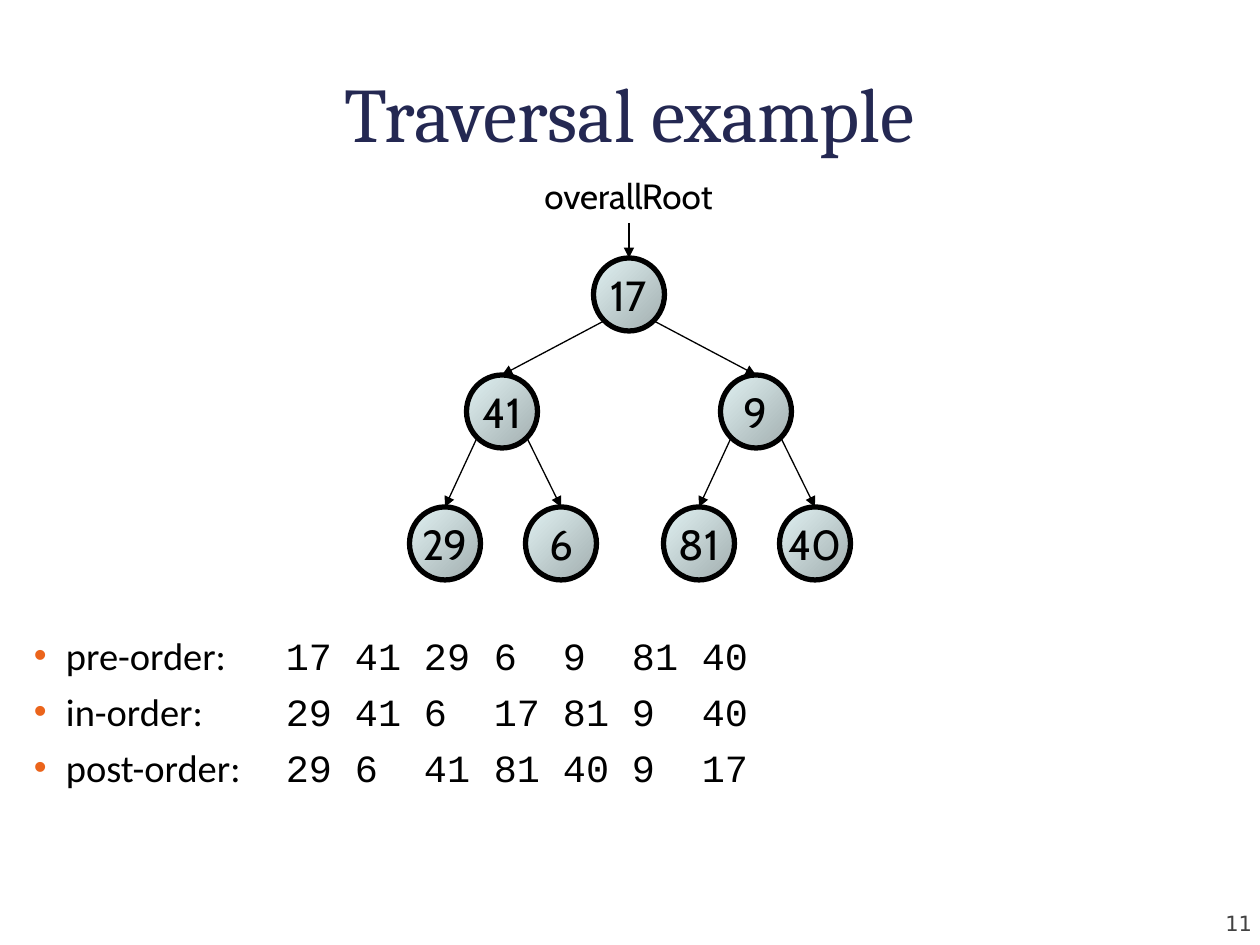
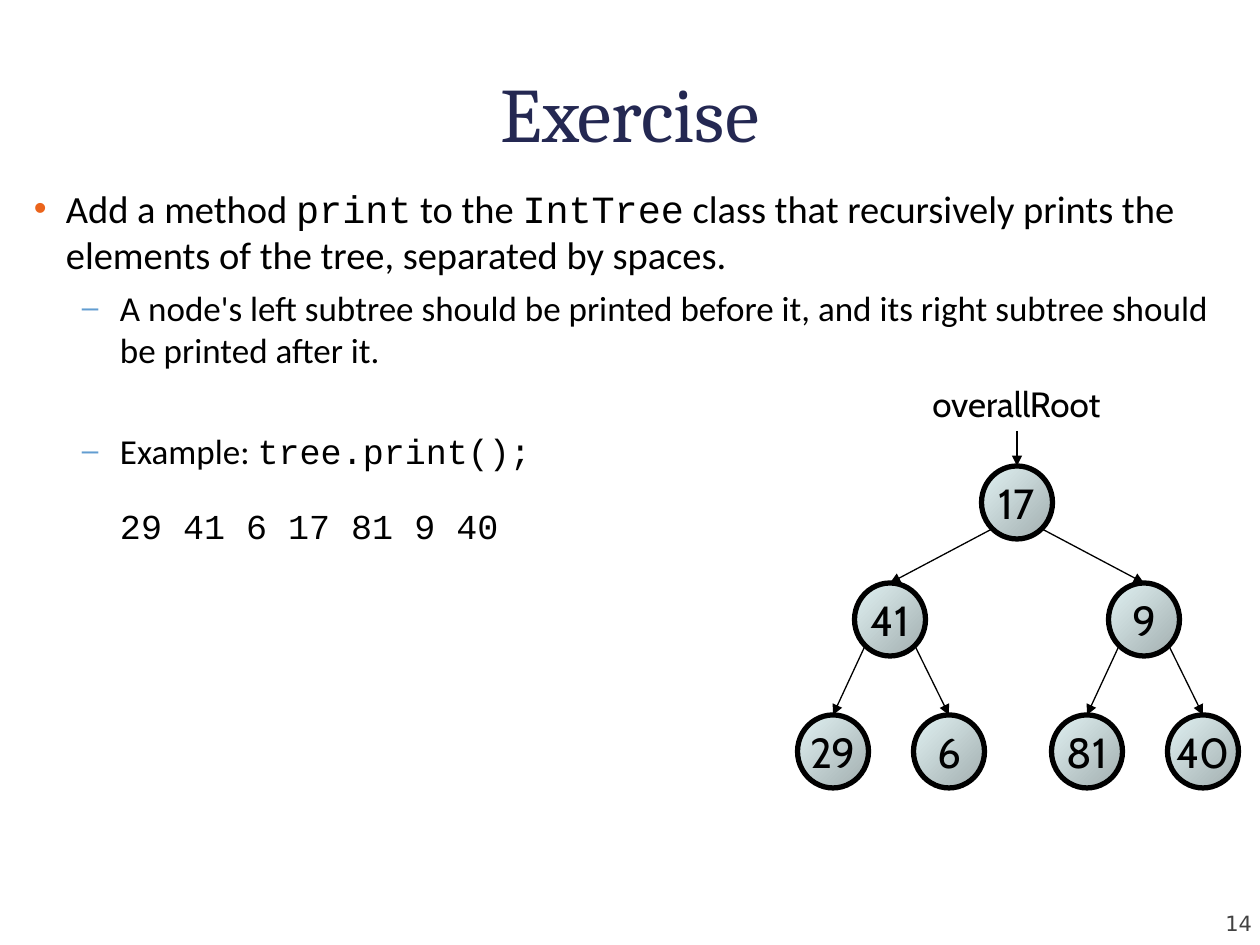
"""Build two slides on binary tree traversal."""
import pptx
import pptx.util
import pptx.dml.color
import pptx.enum.shapes
import pptx.enum.text
import pptx.oxml.ns
import lxml.etree

RGB = pptx.dml.color.RGBColor
NAVY = RGB(0x24, 0x28, 0x52)
BLACK = RGB(0, 0, 0)
GREY = RGB(0x42, 0x42, 0x42)
ORANGE = RGB(0xEB, 0x64, 0x1B)
BLUE = RGB(0x62, 0x9D, 0xD1)
DARK = RGB(0xA1, 0xAD, 0xAE)
LIGHT = RGB(0xE1, 0xF2, 0xF3)

HEAD, BODY, CODE = "Cambria", "Calibri", "Courier New"
NODE, FOOT = "Cabin", "DejaVu Sans"
ALIGN = pptx.enum.text.PP_ALIGN
ANCHOR = pptx.enum.text.MSO_ANCHOR
WIDE, TALL = 71, 73
TREE = (17, 0, 0, [
    (41, -127, 117, [(29, -57, 132, []), (6, 59, 132, [])]),
    (9, 127, 117, [(81, -57, 132, []), (40, 59, 132, [])]),
])
ORDERS = [
    ("pre-order:", (17, 41, 29, 6, 9, 81, 40)),
    ("in-order:", (29, 41, 6, 17, 81, 9, 40)),
    ("post-order:", (29, 6, 41, 81, 40, 9, 17)),
]
STOPS = [252 + i * 208 // 3 for i in range(7)]
TOP = dict(size=22, left=32, hang=-32, gap=5.5, mark=("•", ORANGE, 95))
SUB = dict(size=20, left=86, hang=-38, gap=5, mark=("–", BLUE, 85))


def px(n):
    return round(n * 914400 / 126)


def sub(node, tag, **attrs):
    return lxml.etree.SubElement(node, pptx.oxml.ns.qn(tag), attrs)


class Deck:
    """Hold the style and the current slide."""

    def __init__(self):
        self.show = pptx.Presentation()
        self.show.slide_width, self.show.slide_height = px(1260), px(945)

    def start(self, title, num):
        self.slide = self.show.slides.add_slide(self.show.slide_layouts[5])
        self.pool = self.slide.shapes
        head = self.pool.title
        head.left, head.top, head.width, head.height = map(px, (63, 0, 1134, 158))
        frame = self.frame(head, ANCHOR.BOTTOM, (0, 6, 0, 0))
        self.line(frame, [(title, HEAD)], 44, NAVY, ALIGN.CENTER)
        foot = self.box(1148, 886, 104, 50, ANCHOR.BOTTOM, (0, 0, 0, 0))
        self.line(foot, [(str(num), FOOT)], 12, GREY, ALIGN.RIGHT)

    def frame(self, shape, anchor, pads=(13, 6, 13, 6), wrap=True):
        frame = shape.text_frame
        frame.auto_size = pptx.enum.text.MSO_AUTO_SIZE.NONE
        frame.word_wrap = wrap
        frame.vertical_anchor = anchor
        (frame.margin_left, frame.margin_top,
         frame.margin_right, frame.margin_bottom) = map(px, pads)
        return frame

    def box(self, x, y, w, h, anchor=ANCHOR.TOP, pads=(13, 6, 13, 6), wrap=True):
        shape = self.pool.add_textbox(px(x), px(y), px(w), px(h))
        return self.frame(shape, anchor, pads, wrap)

    def line(self, frame, runs, size, color=BLACK, align=ALIGN.LEFT):
        para = frame.paragraphs[-1]
        if para.runs:
            para = frame.add_paragraph()
        para.alignment = align
        for text, font in runs:
            run = para.add_run()
            run.text = text
            run.font.name = font
            run.font.size = pptx.util.Pt(size)
            run.font.color.rgb = color
        return para

    def item(self, frame, runs, size, left, hang, gap, mark=None, tabs=()):
        para = self.line(frame, runs, size)
        para.space_before = pptx.util.Pt(gap)
        props = para._p.get_or_add_pPr()
        props.set("marL", str(px(left)))
        props.set("indent", str(px(hang)))
        if mark:
            sign, color, scale = mark
            sub(sub(props, "a:buClr"), "a:srgbClr", val=str(color))
            sub(props, "a:buSzPct", val=str(scale * 1000))
            sub(props, "a:buFont", typeface="Arial")
            sub(props, "a:buChar", char=sign)
        if tabs:
            stops = sub(props, "a:tabLst")
            for pos in tabs:
                sub(stops, "a:tab", pos=str(px(pos)), algn="l")

    def arrow(self, x1, y1, x2, y2):
        kind = pptx.enum.shapes.MSO_CONNECTOR.STRAIGHT
        link = self.pool.add_connector(kind, px(x1), px(y1), px(x2), px(y2))
        link.line.color.rgb = BLACK
        link.line.width = pptx.util.Pt(0.75)
        sub(link.line._get_or_add_ln(), "a:tailEnd", type="triangle")
        sub(link._element.spPr, "a:effectLst")

    def node(self, value, x, y):
        kind = pptx.enum.shapes.MSO_SHAPE.OVAL
        ball = self.pool.add_shape(kind, px(x - WIDE / 2), px(y), px(WIDE), px(TALL))
        ball.shadow.inherit = False
        ball.fill.gradient()
        ball.fill.gradient_angle = 135
        for stop, color, pos in zip(ball.fill.gradient_stops, (DARK, LIGHT), (0, 1)):
            stop.color.rgb = color
            stop.position = pos
        ball.line.color.rgb = BLACK
        ball.line.width = pptx.util.Pt(3)
        frame = self.frame(ball, ANCHOR.MIDDLE, wrap=False)
        self.line(frame, [(str(value), NODE)], 24, align=ALIGN.CENTER)

    def branch(self, tree, x, y):
        value, dx, dy, kids = tree
        x, y = x + dx, y + dy
        self.node(value, x, y)
        for kid in kids:
            self.branch(kid, x, y)
            side = 25 if kid[1] > 0 else -25
            self.arrow(x + side, y + 63, x + kid[1], y + kid[2])

    def tree(self, x, y):
        self.pool = self.slide.shapes.add_group_shape().shapes
        self.branch(TREE, x, y)
        label = self.box(x - 107, y - 90, 213, 55, wrap=False)
        self.line(label, [("overallRoot", NODE)], 20, align=ALIGN.CENTER)
        self.arrow(x, y - 35, x, y)
        self.pool = self.slide.shapes


def main():
    deck = Deck()
    deck.start("Traversal example", 11)
    body = deck.box(21, 626, 1239, 267)
    for name, vals in ORDERS:
        nums = "\t".join(map(str, vals))
        deck.item(body, [(name + "\t", BODY), (nums, CODE)], tabs=STOPS, **TOP)
    deck.tree(629, 258)

    deck.start("Exercise", 14)
    body = deck.box(21, 179, 1239, 714)
    deck.item(body, [
        ("Add a method ", BODY), ("print", CODE), (" to the ", BODY),
        ("IntTree", CODE),
        (" class that recursively prints the elements of the tree, "
         "separated by spaces.", BODY)], **TOP)
    deck.item(body, [
        ("A node's left subtree should be printed before it, and its right "
         "subtree should be printed after it.", BODY)], **SUB)
    deck.item(body, [("Example: ", BODY), ("tree.print();", CODE)],
              **{**SUB, "gap": 34})
    deck.item(body, [("29 41 6 17 81 9 40", CODE)],
              **{**SUB, "gap": 19, "hang": 0, "mark": None})
    deck.tree(1017, 466)
    deck.show.save("out.pptx")


if __name__ == "__main__":
    main()
